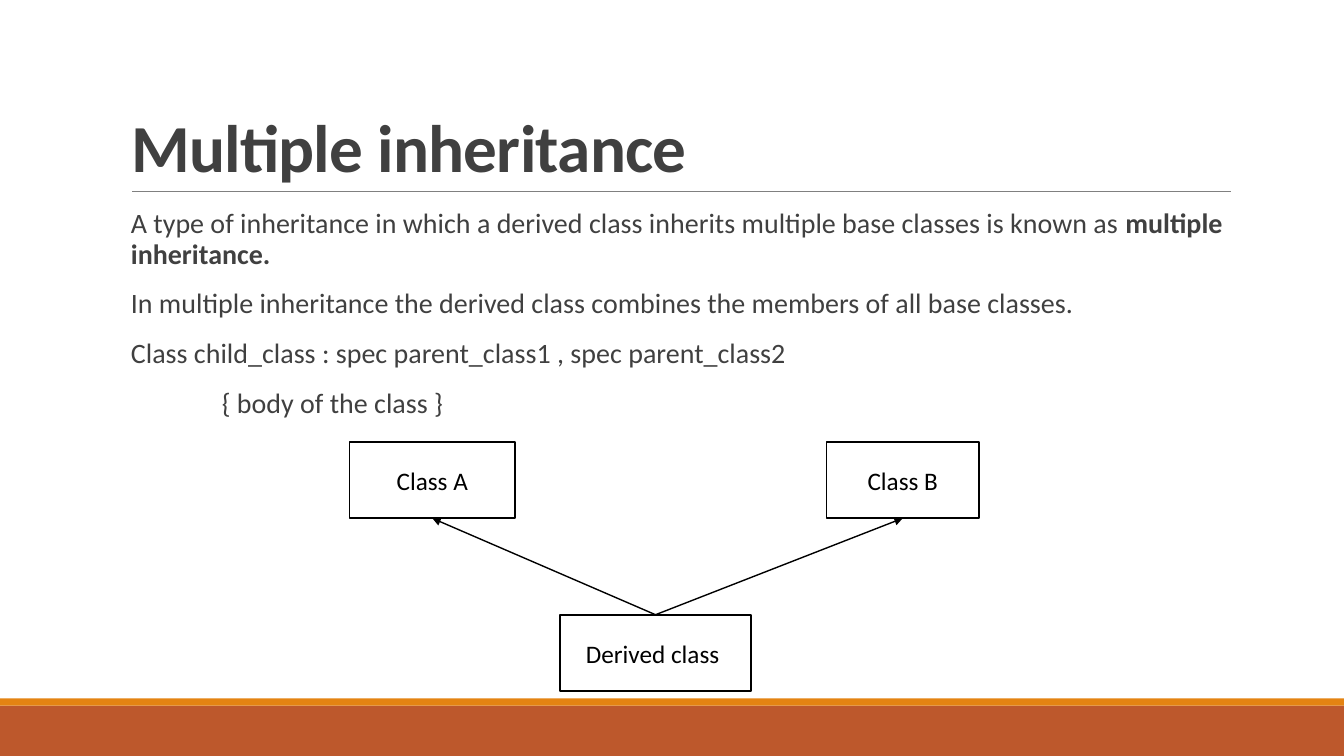
from pptx import Presentation
from pptx.dml.color import RGBColor
from pptx.enum.shapes import MSO_CONNECTOR, MSO_SHAPE
from pptx.enum.text import MSO_ANCHOR, MSO_AUTO_SIZE, PP_ALIGN
from pptx.oxml.ns import qn
from pptx.util import Cm, Pt
from lxml import etree

RECTANGLE = MSO_SHAPE.RECTANGLE
STRAIGHT = MSO_CONNECTOR.STRAIGHT
MIDDLE, BOTTOM = MSO_ANCHOR.MIDDLE, MSO_ANCHOR.BOTTOM
LEFT, CENTER = PP_ALIGN.LEFT, PP_ALIGN.CENTER
NO_AUTOFIT = MSO_AUTO_SIZE.NONE
TITLE_ONLY = 5
TOP_SITE, BOTTOM_SITE = 0, 2

WIDTH, HEIGHT = 33.87, 19.05
CONTENT_LEFT, CONTENT_WIDTH = 3.05, 27.94
BOX_HEIGHT = 1.93
BASE_TOP, DERIVED_TOP = 11.13, 15.49

PARAGRAPHS = [
    (0.25, [("A type of inheritance in which a derived class inherits multiple "
             "base classes is known as ", False),
            ("multiple inheritance.", True)]),
    (0.25, [("In multiple inheritance the derived class combines the members "
             "of all base classes.", False)]),
    (0.25, [("Class child_class : spec parent_class1 , spec parent_class2", False)]),
    (2.54, [("{ body of the class }", False)]),
]


def color(value):
    return RGBColor.from_string(value)


def apply(target, formats):
    """Set every attribute named in the dict on the target."""
    for name, value in formats.items():
        setattr(target, name, value)


class SlideBuilder:
    """Holds the text style and the page being drawn."""

    font = "Calibri"
    text_color = "404040"
    ink = "000000"

    def __init__(self, deck):
        self.page = deck.slides.add_slide(deck.slide_layouts[TITLE_ONLY])

    def span(self, para, text, size, bold=False, fill=text_color):
        span = para.add_run()
        span.text = text
        apply(span.font, {"name": self.font, "size": Pt(size), "bold": bold})
        span.font.color.rgb = color(fill)
        return span

    def title(self, text, left, top, width, height):
        box = self.page.shapes.title
        apply(box, {"left": Cm(left), "top": Cm(top),
                    "width": Cm(width), "height": Cm(height)})
        apply(box.text_frame, {"vertical_anchor": BOTTOM, "word_wrap": True,
                               "auto_size": NO_AUTOFIT})
        para = box.text_frame.paragraphs[0]
        apply(para, {"alignment": LEFT, "line_spacing": 0.85})
        span = self.span(para, text, 48, bold=True)
        span.font._element.set("spc", "-50")

    def body(self, paragraphs, left, top, width, height):
        box = self.page.shapes.add_textbox(Cm(left), Cm(top), Cm(width), Cm(height))
        frame = box.text_frame
        apply(frame, {"word_wrap": True, "margin_left": 0, "margin_right": 0})
        for index, (indent, spans) in enumerate(paragraphs):
            para = frame.add_paragraph() if index else frame.paragraphs[0]
            apply(para, {"line_spacing": 0.9, "space_before": Pt(12),
                         "space_after": Pt(2)})
            para._p.get_or_add_pPr().set("marL", str(Cm(indent)))
            for text, bold in spans:
                self.span(para, text, 20, bold)

    def rectangle(self, left, top, width, height, fill):
        box = self.page.shapes.add_shape(
            RECTANGLE, Cm(left), Cm(top), Cm(width), Cm(height))
        box.shadow.inherit = False
        box.fill.solid()
        box.fill.fore_color.rgb = color(fill)
        box.line.fill.background()
        return box

    def class_box(self, text, left, top, width):
        box = self.rectangle(left, top, width, BOX_HEIGHT, "FFFFFF")
        box.line.color.rgb = color(self.ink)
        box.line.width = Pt(1.25)
        apply(box.text_frame, {"vertical_anchor": MIDDLE, "word_wrap": True})
        para = box.text_frame.paragraphs[0]
        para.alignment = CENTER
        self.span(para, text, 18, fill=self.ink)
        return box

    def line(self, left, top, right, bottom, stroke, weight):
        line = self.page.shapes.add_connector(
            STRAIGHT, Cm(left), Cm(top), Cm(right), Cm(bottom))
        line.line.color.rgb = color(stroke)
        line.line.width = Pt(weight)
        etree.SubElement(line._element.spPr, qn("a:effectLst"))
        return line

    def arrow(self, child, parent):
        """Point from the top of the child box to the bottom of the parent box."""
        arrow = self.line(0, 0, 1, 1, self.ink, 1)
        arrow.begin_connect(child, TOP_SITE)
        arrow.end_connect(parent, BOTTOM_SITE)
        etree.SubElement(arrow.line._get_or_add_ln(), qn("a:tailEnd"), type="triangle")


def main():
    deck = Presentation()
    apply(deck, {"slide_width": Cm(WIDTH), "slide_height": Cm(HEIGHT)})
    slide = SlideBuilder(deck)

    slide.rectangle(0, 17.78, WIDTH, 1.27, "BD582C")
    slide.rectangle(0, 17.6, WIDTH, 0.18, "E48312")
    slide.line(3.33, 4.83, 31.01, 4.83, "808080", 0.5)
    slide.title("Multiple inheritance", CONTENT_LEFT, 0.79, CONTENT_WIDTH, 4.04)
    slide.body(PARAGRAPHS, CONTENT_LEFT, 5.16, CONTENT_WIDTH, 13.16)

    derived = slide.class_box("Derived class ", 14.12, DERIVED_TOP, 4.8)
    for text, left, width in [("Class A", 8.81, 4.17), ("Class B", 20.83, 3.84)]:
        base = slide.class_box(text, left, BASE_TOP, width)
        slide.arrow(derived, base)

    deck.save("out.pptx")


if __name__ == "__main__":
    main()
